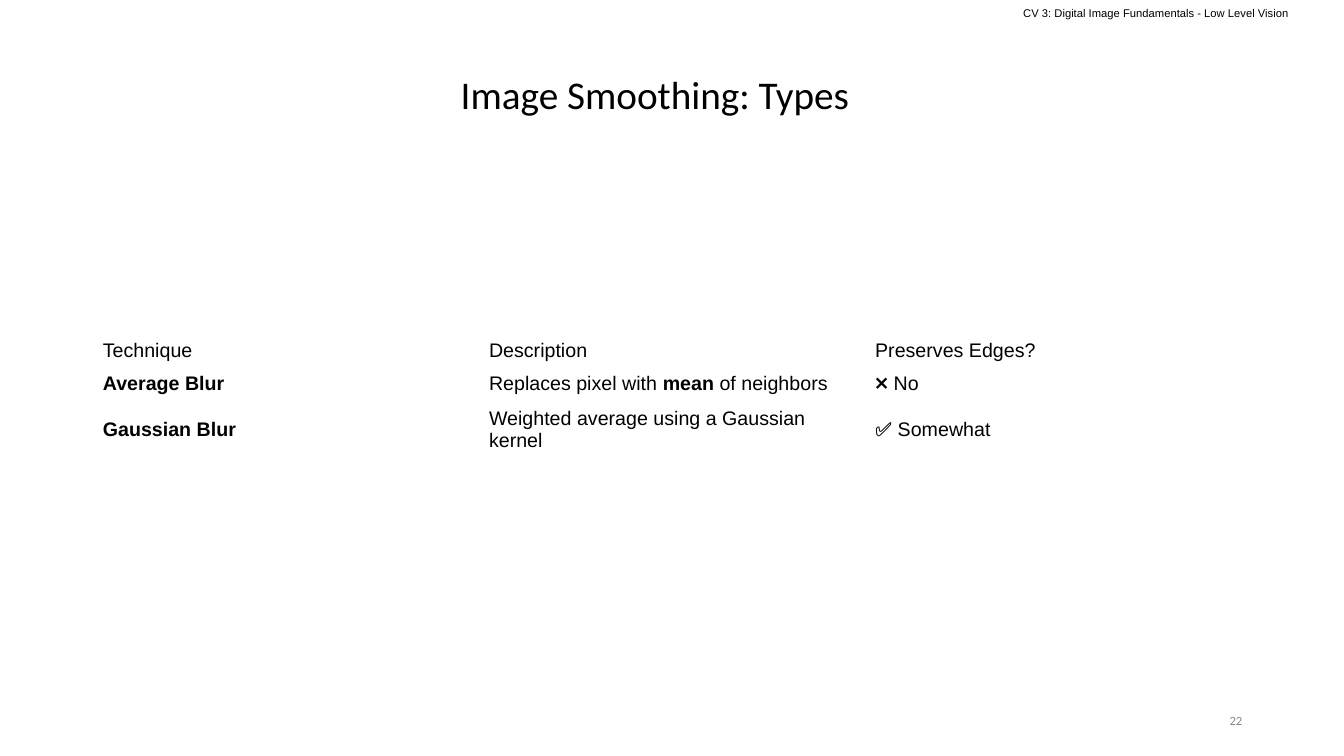
from dataclasses import dataclass

from pptx import Presentation
from pptx import util as u
from pptx.dml.color import RGBColor
from pptx.enum import text


@dataclass(frozen=True)
class Theme:
    ink: RGBColor = RGBColor(0x00, 0x00, 0x00)
    muted: RGBColor = RGBColor(0x88, 0x88, 0x88)
    heading_font: str = "Calibri"
    body_font: str = "Arial"
    title_size: int = 28
    table_size: int = 14
    number_size: int = 9
    header_size: int = 8


theme = Theme()


def style(paragraph, font_name, size, color):
    paragraph.font.name = font_name
    paragraph.font.size = u.Pt(size)
    paragraph.font.color.rgb = color


def add_label(slide, box, wording, font_name, size, color, align, anchor, inset=0.05):
    """Add a one-line text box; inset is its top and bottom margin in inches."""
    label = slide.shapes.add_textbox(*(u.Inches(length) for length in box))
    frame = label.text_frame
    frame.word_wrap = True
    frame.vertical_anchor = anchor
    frame.margin_top = frame.margin_bottom = u.Inches(inset)
    paragraph = frame.paragraphs[0]
    paragraph.text = wording
    paragraph.alignment = align
    style(paragraph, font_name, size, color)
    return label


presentation = Presentation()
presentation.slide_width = u.Inches(13.33)
presentation.slide_height = u.Inches(7.5)
slide = presentation.slides.add_slide(presentation.slide_layouts[6])

align, anchor = text.PP_ALIGN, text.MSO_ANCHOR
add_label(slide, (10.05, 0, 3.28, 0.34),
          "CV 3: Digital Image Fundamentals - Low Level Vision",
          theme.body_font, theme.header_size, theme.ink, align.LEFT, anchor.TOP, 0.1)
title = add_label(slide, (0.92, 0.4, 11.15, 1.12), "Image Smoothing: Types",
                  theme.heading_font, theme.title_size, theme.ink,
                  align.CENTER, anchor.MIDDLE)
title.text_frame.paragraphs[0].line_spacing = 0.9
add_label(slide, (9.42, 6.95, 3, 0.4), "22", theme.heading_font, theme.number_size,
          theme.muted, align.RIGHT, anchor.MIDDLE)

# Each cell is a list of (wording, bold) runs; the last two rows are empty.
techniques = [
    [[("Technique", False)], [("Description", False)], [("Preserves Edges?", False)]],
    [[("Average Blur", True)],
     [("Replaces pixel with ", False), ("mean", True), (" of neighbors", False)],
     [("❌ No", False)]],
    [[("Gaussian Blur", True)],
     [("Weighted average using a Gaussian kernel", False)],
     [("✅ Somewhat", False)]],
    [[], [], []],
    [[], [], []],
]
row_heights = [0.32, 0.32, 0.53, 0.37, 0.37]

table = slide.shapes.add_table(
    len(techniques), 3, u.Inches(0.92), u.Inches(3.31),
    u.Inches(11.5), u.Inches(sum(row_heights))).table
table.first_row = False
table.horz_banding = False
for column in table.columns:
    column.width = u.Inches(3.83)

for row, height, contents in zip(table.rows, row_heights, techniques):
    row.height = u.Inches(height)
    for cell, runs in zip(row.cells, contents):
        cell.fill.background()
        cell.vertical_anchor = anchor.MIDDLE
        paragraph = cell.text_frame.paragraphs[0]
        style(paragraph, theme.body_font, theme.table_size, theme.ink)
        for wording, bold in runs:
            run = paragraph.add_run()
            run.text = wording
            run.font.bold = bold

presentation.save("out.pptx")
